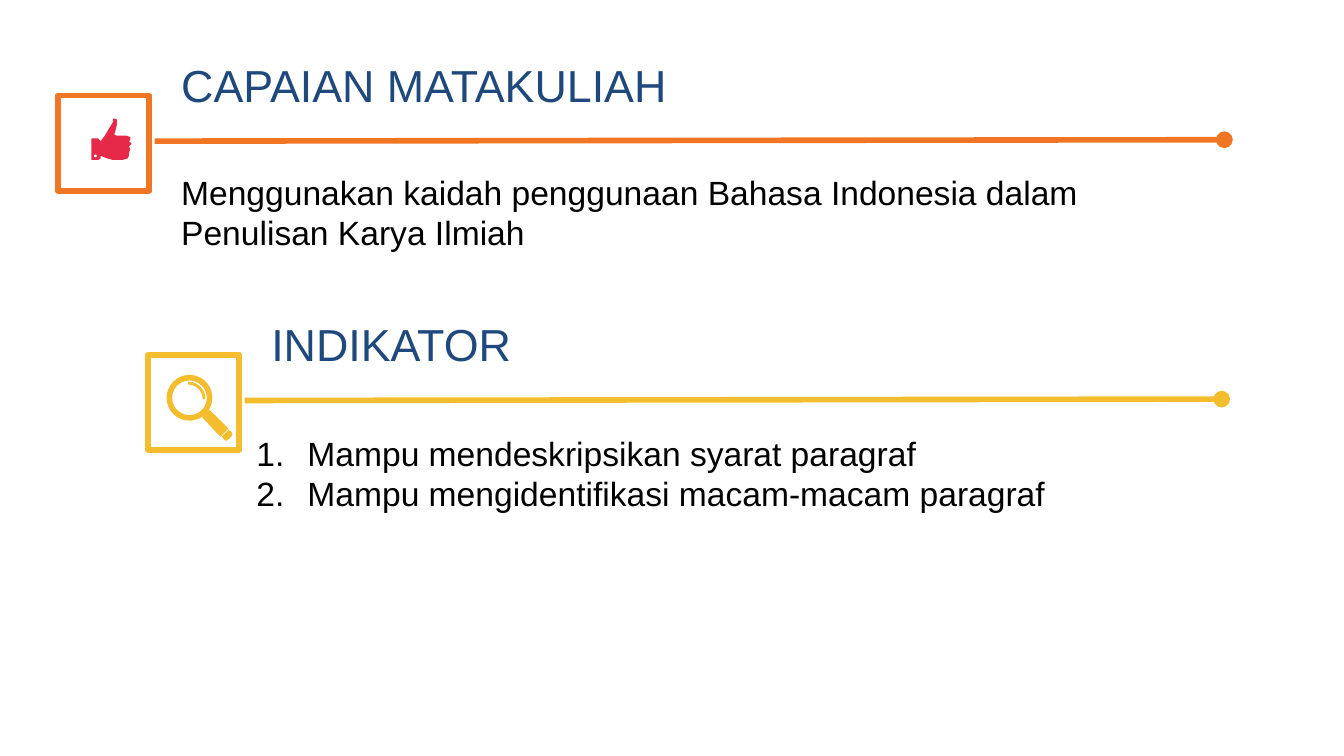
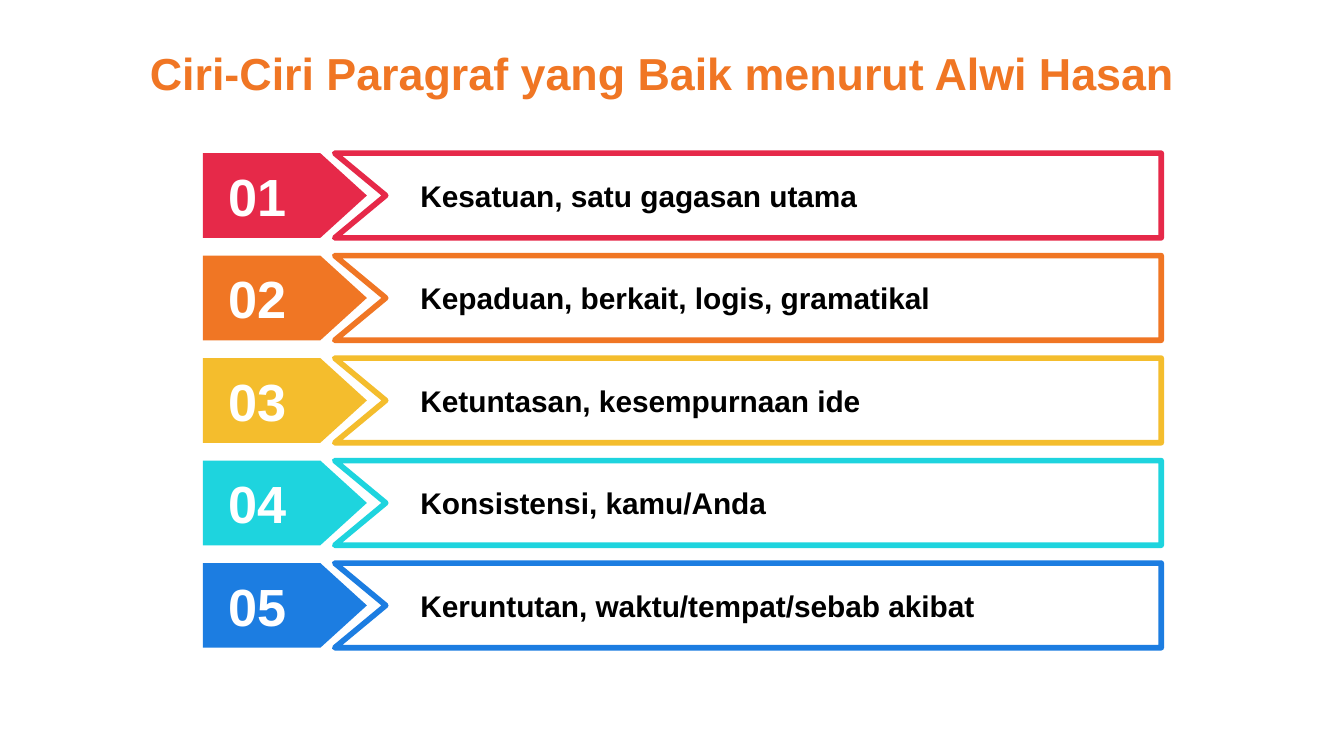
from dataclasses import dataclass

from lxml import etree
from pptx import Presentation
from pptx.dml.color import RGBColor
from pptx.enum.shapes import MSO_CONNECTOR, MSO_SHAPE
from pptx.enum.text import MSO_ANCHOR, MSO_AUTO_SIZE, PP_ALIGN
from pptx.oxml.ns import qn
from pptx.util import Inches, Pt

RECT, OVAL, TAG = MSO_SHAPE.RECTANGLE, MSO_SHAPE.OVAL, MSO_SHAPE.PENTAGON
RING, ARC = MSO_SHAPE.DONUT, MSO_SHAPE.BLOCK_ARC
STRAIGHT = MSO_CONNECTOR.STRAIGHT
TOP, MIDDLE = MSO_ANCHOR.TOP, MSO_ANCHOR.MIDDLE
LEFT, CENTER = PP_ALIGN.LEFT, PP_ALIGN.CENTER
FIT = MSO_AUTO_SIZE.SHAPE_TO_FIT_TEXT

WIDTH = Inches(10)
FONT = "Arial"
RED, ORANGE, YELLOW = "E62949", "F07624", "F4BD2D"
CYAN, BLUE, NAVY = "1ED4DE", "1C7DE1", "1F497D"
WHITE, BLACK = "FFFFFF", "000000"
STROKE = 3

Point = tuple[float, float]
Box = tuple[float, float, float, float]


@dataclass
class Section:
    title: str
    left: float
    top: float
    end: float
    color: str
    lines: list[str]
    body: Box
    numbered: bool = False


@dataclass
class Trait:
    text: str
    color: str


SECTIONS = [
    Section("CAPAIAN MATAKULIAH", 1.25, 0.38, 9.11, ORANGE,
            ["Menggunakan kaidah penggunaan Bahasa Indonesia dalam "
             "Penulisan Karya Ilmiah"], (1.25, 1.23, 6.97, 0.71)),
    Section("INDIKATOR", 1.92, 2.31, 9.09, YELLOW,
            ["Mampu mendeskripsikan syarat paragraf",
             "Mampu mengidentifikasi macam-macam paragraf"],
            (1.81, 3.17, 7.6, 1.01), True),
]

TRAITS = [
    Trait("Kesatuan, satu gagasan utama", RED),
    Trait("Kepaduan, berkait, logis, gramatikal", ORANGE),
    Trait("Ketuntasan, kesempurnaan ide", YELLOW),
    Trait("Konsistensi, kamu/Anda", CYAN),
    Trait("Keruntutan, waktu/tempat/sebab akibat", BLUE),
]
FIRST, LAST = 1.14, 4.19
PITCH = (LAST - FIRST) / (len(TRAITS) - 1)
HEIGHT = 0.63

THUMB = [
    (0.85, 0.88), (0.87, 0.89), (0.87, 0.93), (0.86, 0.97), (0.85, 1),
    (0.87, 1.01), (0.94, 1.01), (0.97, 1.02), (0.97, 1.04), (0.96, 1.05),
    (0.98, 1.07), (0.96, 1.09), (0.97, 1.11), (0.96, 1.14), (0.96, 1.16),
    (0.95, 1.18), (0.91, 1.19), (0.84, 1.19), (0.8, 1.18), (0.75, 1.16),
    (0.75, 1.18), (0.73, 1.19), (0.68, 1.19), (0.68, 1.03), (0.73, 1.03),
    (0.75, 1.05), (0.78, 1.01), (0.81, 0.96), (0.84, 0.91), (0.84, 0.89),
]
HANDLE = [(1.56, 3.05), (1.7, 3.19), (1.64, 3.25), (1.5, 3.1)]
TIP = [(1.7, 3.2), (1.72, 3.21), (1.73, 3.23), (1.72, 3.25),
       (1.7, 3.27), (1.68, 3.28), (1.67, 3.27), (1.65, 3.25)]


def rgb(color: str) -> RGBColor:
    return RGBColor.from_string(color)


def paint(shape, fill: str, line: str | None = None) -> None:
    shape.shadow.inherit = False
    shape.fill.solid()
    shape.fill.fore_color.rgb = rgb(fill)
    if line is None:
        shape.line.fill.background()
    else:
        shape.line.color.rgb = rgb(line)
        shape.line.width = Pt(STROKE)


def draw(slide, kind, box: Box, fill: str, line: str | None = None,
         adjust: tuple[float, ...] = ()) -> None:
    shape = slide.shapes.add_shape(kind, *map(Inches, box))
    for i, value in enumerate(adjust):
        shape.adjustments[i] = value
    paint(shape, fill, line)


def outline(slide, points: list[Point], fill: str,
            line: str | None = None) -> None:
    start, *rest = [(Inches(x), Inches(y)) for x, y in points]
    path = slide.shapes.build_freeform(*start)
    path.add_line_segments(rest, close=True)
    paint(path.convert_to_shape(), fill, line)


def rule(slide, start: Point, end: Point, color: str) -> None:
    """Draw a line that ends in a dot."""
    line = slide.shapes.add_connector(STRAIGHT, *map(Inches, start + end))
    line.line.color.rgb = rgb(color)
    line.line.width = Pt(STROKE)
    etree.SubElement(line.line._get_or_add_ln(), qn("a:tailEnd"), type="oval")
    etree.SubElement(line._element.spPr, qn("a:effectLst"))


def write(slide, box: Box, lines: list[str], size: int, color: str,
          bold: bool = False, align=LEFT, anchor=TOP, pad: float = 0.05,
          numbered: bool = False) -> None:
    frame = slide.shapes.add_textbox(*map(Inches, box)).text_frame
    frame.word_wrap = True
    frame.auto_size = FIT
    frame.vertical_anchor = anchor
    frame.margin_top = frame.margin_bottom = Inches(pad)
    frame.text = "\n".join(lines)
    for para in frame.paragraphs:
        para.alignment = align
        font = para.font
        font.name, font.size, font.bold = FONT, Pt(size), bold
        font.color.rgb = rgb(color)
        if numbered:
            number(para)


def number(para) -> None:
    props = para._p.get_or_add_pPr()
    indent = Inches(0.38)
    props.set("marL", str(indent))
    props.set("indent", str(-indent))
    mark = etree.Element(qn("a:buAutoNum"), type="arabicPeriod")
    props.insert(0, mark)


def section(slide, item: Section) -> None:
    x, y = item.left, item.top
    write(slide, (x, y, 5.45, 0.5), [item.title], 24, NAVY)
    rule(slide, (x - 0.1, y + 0.67), (item.end, y + 0.66), item.color)
    draw(slide, RECT, (x - 0.82, y + 0.33, 0.68, 0.71), WHITE, item.color)
    write(slide, item.body, item.lines, 18, BLACK, numbered=item.numbered)


def thumb(slide) -> None:
    outline(slide, THUMB, RED)
    draw(slide, OVAL, (0.7, 1.15, 0.02, 0.02), WHITE)


def lens(slide) -> None:
    draw(slide, RING, (1.24, 2.79, 0.34, 0.34), YELLOW, adjust=(0.12,))
    # Block arc angles count in units of 100000 / 60000 degrees.
    draw(slide, ARC, (1.27, 2.84, 0.26, 0.26), YELLOW,
         adjust=(270 * 0.6, 0, 0.08))
    outline(slide, HANDLE, YELLOW)
    outline(slide, TIP, YELLOW)


def banner(slide, index: int, trait: Trait) -> None:
    y = FIRST + index * PITCH
    base = y + HEIGHT
    draw(slide, TAG, (1.51, y, 1.22, HEIGHT), trait.color, adjust=(0.55,))
    outline(slide, [(2.49, y), (8.64, y), (8.64, base), (2.49, base),
                    (2.87, y + HEIGHT / 2)], WHITE, trait.color)
    write(slide, (1.6, y + 0.08, 0.66, 0.47), [f"{index + 1:02}"], 28, WHITE,
          bold=True, anchor=MIDDLE, pad=0)
    write(slide, (3.03, y + 0.13, 5.3, 0.37), [trait.text], 16, BLACK,
          bold=True)


def main() -> None:
    deck = Presentation()
    deck.slide_width, deck.slide_height = WIDTH, WIDTH * 9 // 16
    blank = deck.slide_layouts[6]

    goals = deck.slides.add_slide(blank)
    for item in SECTIONS:
        section(goals, item)
    thumb(goals)
    lens(goals)

    traits = deck.slides.add_slide(blank)
    write(traits, (0.91, 0.29, 8.03, 0.5),
          ["Ciri-Ciri Paragraf yang Baik menurut Alwi Hasan"], 24, ORANGE,
          bold=True, align=CENTER, anchor=MIDDLE)
    for index, trait in enumerate(TRAITS):
        banner(traits, index, trait)

    deck.save("out.pptx")


if __name__ == "__main__":
    main()
